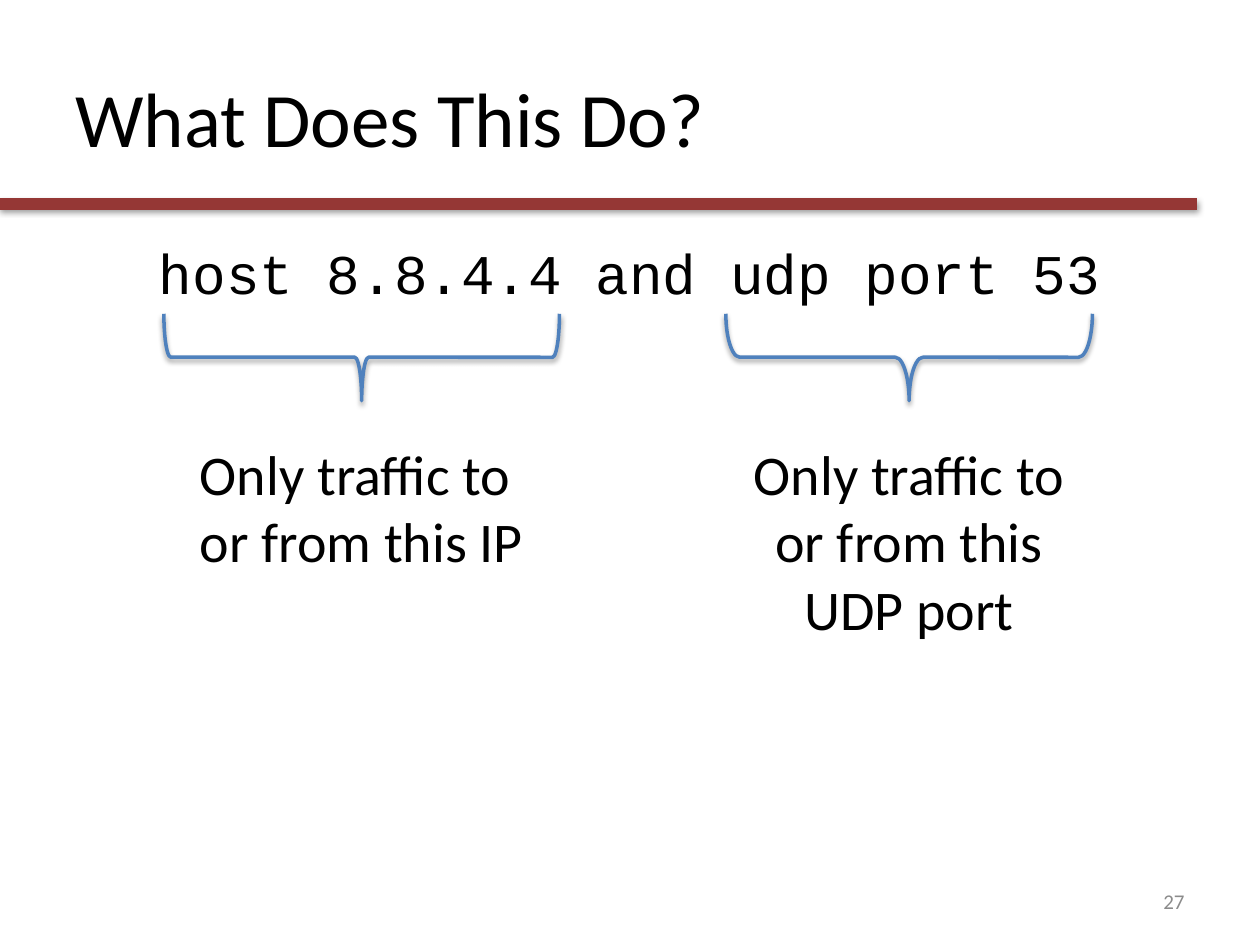
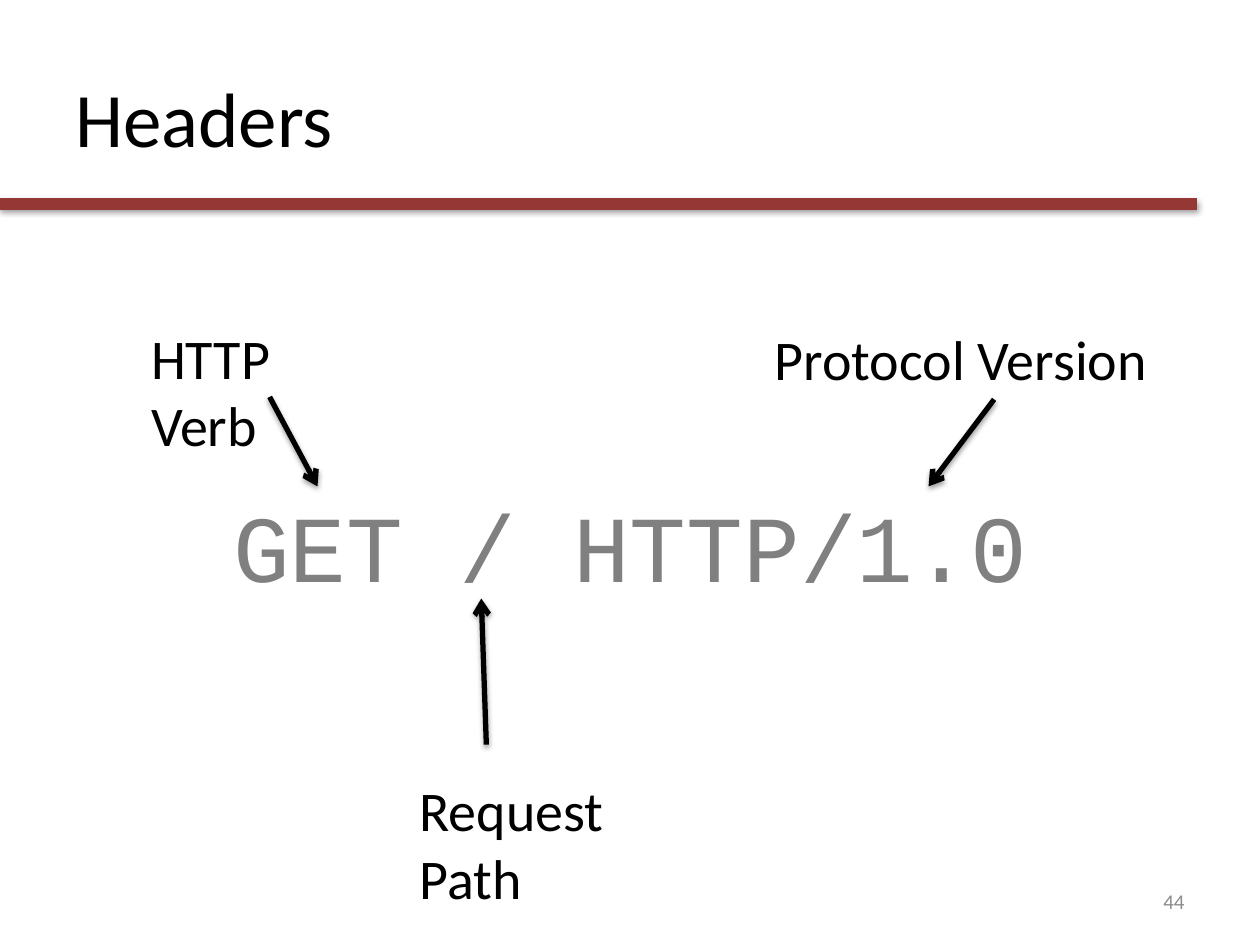
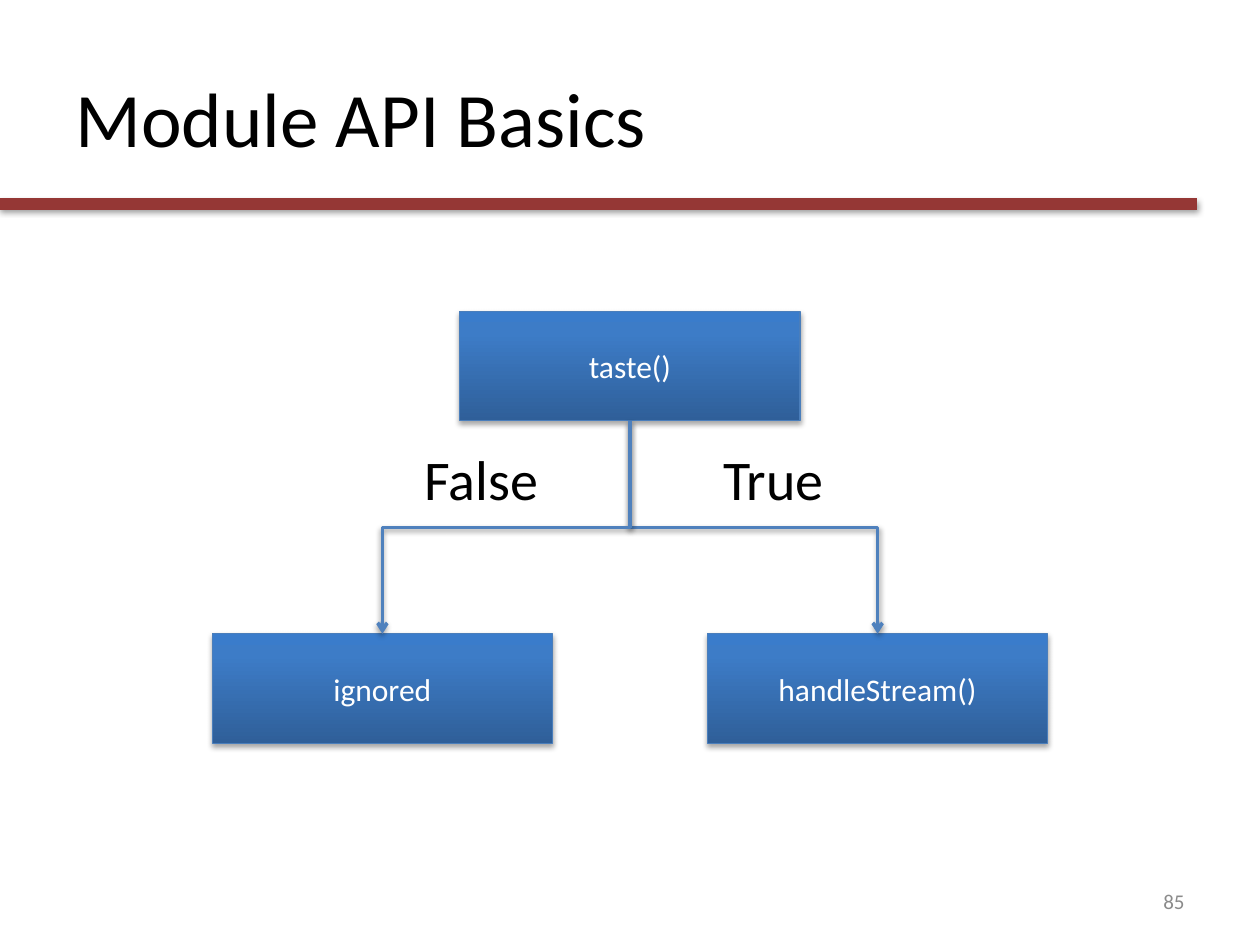
from copy import deepcopy
from dataclasses import dataclass

from lxml.etree import SubElement
from pptx import Presentation
from pptx.dml.color import RGBColor
from pptx.enum.shapes import MSO_CONNECTOR, MSO_SHAPE
from pptx.enum.text import MSO_ANCHOR, PP_ALIGN
from pptx.oxml.ns import qn
from pptx.util import Inches, Pt

BLACK = RGBColor(0x00, 0x00, 0x00)
WHITE = RGBColor(0xFF, 0xFF, 0xFF)
RULE_RED = RGBColor(0x95, 0x37, 0x35)
LINE_BLUE = RGBColor(0x4F, 0x81, 0xBD)
EDGE_BLUE = RGBColor(0x4A, 0x7E, 0xBB)
CODE_GRAY = RGBColor(0x80, 0x80, 0x80)
NUMBER_GRAY = RGBColor(0x8B, 0x8B, 0x8B)
NODE_GRADIENT = [
    (0, RGBColor(0x2F, 0x5F, 0x99)),
    (0.8, RGBColor(0x3D, 0x7C, 0xC7)),
    (1, RGBColor(0x3A, 0x7C, 0xCB)),
]
BODY_FONT = "Calibri"
CODE_FONT = "Courier New"

# The slide is a grid of 100 columns by 75 rows of square cells
COLUMNS, ROWS = 100, 75
CELL = Inches(0.1)


@dataclass
class Box:
    left: float
    top: float
    width: float
    height: float

    def area(self, left, top, width, height):
        return Box(self.left + left, self.top + top, width, height)

    def point(self, column, row):
        return self.left + column, self.top + row

    def lengths(self):
        return cells(self.left, self.top, self.width, self.height)


def cells(*counts):
    return [round(count * CELL) for count in counts]


HEADER = Box(0, 0, COLUMNS, 17.5)
BODY = Box(5, 17.5, 90, 49.5)
FOOTER = Box(5, 69.5, 90, 4)


def write(text_frame, text, size=32, color=BLACK, font=BODY_FONT,
          align=PP_ALIGN.LEFT, anchor=MSO_ANCHOR.TOP, wrap=True, top_inset=0.05):
    text_frame.word_wrap = wrap
    text_frame.vertical_anchor = anchor
    text_frame.margin_top = Inches(top_inset)
    text_frame.text = text
    for paragraph in text_frame.paragraphs:
        paragraph.alignment = align
        paragraph.font.size = Pt(size)
        paragraph.font.name = font
        paragraph.font.color.rgb = color


def add_text(slide, box, text, **text_format):
    text_box = slide.shapes.add_textbox(*box.lengths())
    write(text_box.text_frame, text, **text_format)
    return text_box


def add_shadow(shape, opacity=38, distance=1.6):
    effects = SubElement(shape.element.spPr, qn("a:effectLst"))
    shadow = SubElement(effects, qn("a:outerShdw"), blurRad=str(int(Pt(3.1))),
                        dist=str(int(Pt(distance))), dir="5400000", rotWithShape="0")
    color = SubElement(shadow, qn("a:srgbClr"), val=str(BLACK))
    SubElement(color, qn("a:alpha"), val=str(opacity * 1000))


def add_line(slide, start, end, color, width, kind=MSO_CONNECTOR.STRAIGHT, arrow=True):
    connector = slide.shapes.add_connector(kind, *cells(*start, *end))
    connector.line.color.rgb = color
    connector.line.width = Pt(width)
    if arrow:
        SubElement(connector.element.spPr.find(qn("a:ln")), qn("a:tailEnd"), type="arrow")
    add_shadow(connector)
    return connector


def add_base_slide(presentation, title, number):
    slide = presentation.slides.add_slide(presentation.slide_layouts[6])
    # Red rule and title
    add_line(slide, HEADER.point(0, 16.2), HEADER.point(95, 16.2), RULE_RED, 6.5, arrow=False)
    add_text(slide, HEADER.area(5, 3, 90, 12.5), title, size=44, anchor=MSO_ANCHOR.MIDDLE)
    # Slide number
    add_text(slide, FOOTER.area(66.7, 0, 23.3, 4), number, size=12, color=NUMBER_GRAY,
             align=PP_ALIGN.RIGHT, anchor=MSO_ANCHOR.MIDDLE)
    return slide


def add_braced_note(slide, box, curve, note):
    """A downward brace across the top of the box, with its note below."""
    depth = 6.9
    brace_box = box.area((box.width - depth) / 2, (depth - box.width) / 2, depth, box.width)
    brace = slide.shapes.add_shape(MSO_SHAPE.RIGHT_BRACE, *brace_box.lengths())
    brace.rotation = 90
    brace.adjustments[0] = curve
    brace.fill.background()
    brace.line.color.rgb = LINE_BLUE
    brace.line.width = Pt(2)
    add_shadow(brace)
    add_text(slide, box.area(0, 9.5, box.width, box.height - 9.5), note, align=PP_ALIGN.CENTER)


def build_filter_slide(presentation, box):
    slide = add_base_slide(presentation, "What Does This Do?", "27")
    add_text(slide, box, "host 8.8.4.4 and udp port 53", font=CODE_FONT,
             align=PP_ALIGN.CENTER, top_inset=0.14)
    add_braced_note(slide, box.area(8, 7.4, 31.4, 21.1), 0.08,
                    "Only traffic to \nor from this IP")
    add_braced_note(slide, box.area(52.6, 7.4, 29.1, 26.5), 0.16,
                    "Only traffic to or from this UDP port")


def build_request_slide(presentation, box):
    slide = add_base_slide(presentation, "Headers", "44")
    add_text(slide, box.area(0, 19.2, box.width, 10.8), "GET / HTTP/1.0", size=54,
             color=CODE_GRAY, font=CODE_FONT, align=PP_ALIGN.CENTER, top_inset=0.2)
    # Labels with arrows: text, left, top, width, arrow start, arrow end;
    # an arrow without a start leaves the middle of its label's bottom side
    labels = [
        ("HTTP Verb", 6, 7.7, 20.8, None, (20.2, 21.1)),
        ("Request Path", 27.3, 43.6, 25.7, (33.6, 41.6), (33.2, 30)),
        ("Protocol Version", 55.5, 7.8, 31.6, (73.9, 14.2), (68.7, 21.1)),
    ]
    for text, left, top, width, start, end in labels:
        label = add_text(slide, box.area(left, top, width, 6.3), text, wrap=False)
        arrow = add_line(slide, box.point(*(start or (left, top))), box.point(*end), BLACK, 3)
        if start is None:
            arrow.begin_connect(label, 2)


def add_node(slide, box, text):
    node = slide.shapes.add_shape(MSO_SHAPE.RECTANGLE, *box.lengths())
    node.fill.gradient()
    node.fill.gradient_angle = 90
    stops = node.element.spPr.find(".//" + qn("a:gsLst"))
    stops.append(deepcopy(stops[-1]))
    for stop, (position, color) in zip(node.fill.gradient_stops, NODE_GRADIENT):
        stop.position = position
        stop.color.rgb = color
    node.line.color.rgb = EDGE_BLUE
    node.line.width = Pt(0.75)
    add_shadow(node, opacity=35, distance=1.8)
    write(node.text_frame, text, size=18, color=WHITE, align=PP_ALIGN.CENTER,
          anchor=MSO_ANCHOR.MIDDLE)
    return node


def add_branch(slide, parent, child):
    """An elbow arrow that leaves the parent downwards and enters the child's top."""
    branch = add_line(slide, (0, 0), (1, 1), LINE_BLUE, 2, MSO_CONNECTOR.ELBOW)
    branch.begin_connect(parent, 2)
    branch.end_connect(child, 0)
    goes_right = branch.end_x > branch.begin_x
    run = abs(branch.end_x - branch.begin_x)
    drop = branch.end_y - branch.begin_y
    # Turn the frame a quarter so that the first segment runs down
    branch.left += (run - drop) // 2
    branch.top += (drop - run) // 2
    branch.width, branch.height = drop, run
    frame = branch.element.spPr.find(qn("a:xfrm"))
    frame.set("rot", "16200000" if goes_right else "5400000")
    frame.set("flipH", "1" if goes_right else "0")


def build_flow_slide(presentation, box):
    slide = add_base_slide(presentation, "Module API Basics", "85")
    node_width, node_height, spread = 27, 8.7, 19.65
    middle = (box.width - node_width) / 2
    # Decision and its two outcomes
    root = add_node(slide, box.area(middle, 7.2, node_width, node_height), "taste()")
    for text, offset in [("handleStream()", spread), ("ignored", -spread)]:
        outcome_box = box.area(middle + offset, 32.8, node_width, node_height)
        add_branch(slide, root, add_node(slide, outcome_box, text))
    # Branch labels
    for text, left, width in [("False", 27.7, 11), ("True", 51.4, 10)]:
        add_text(slide, box.area(left, 17.3, width, 6.3), text, wrap=False)


def main():
    presentation = Presentation()
    presentation.slide_width, presentation.slide_height = cells(COLUMNS, ROWS)
    build_filter_slide(presentation, BODY)
    build_request_slide(presentation, BODY)
    build_flow_slide(presentation, BODY)
    presentation.save("out.pptx")


if __name__ == "__main__":
    main()
